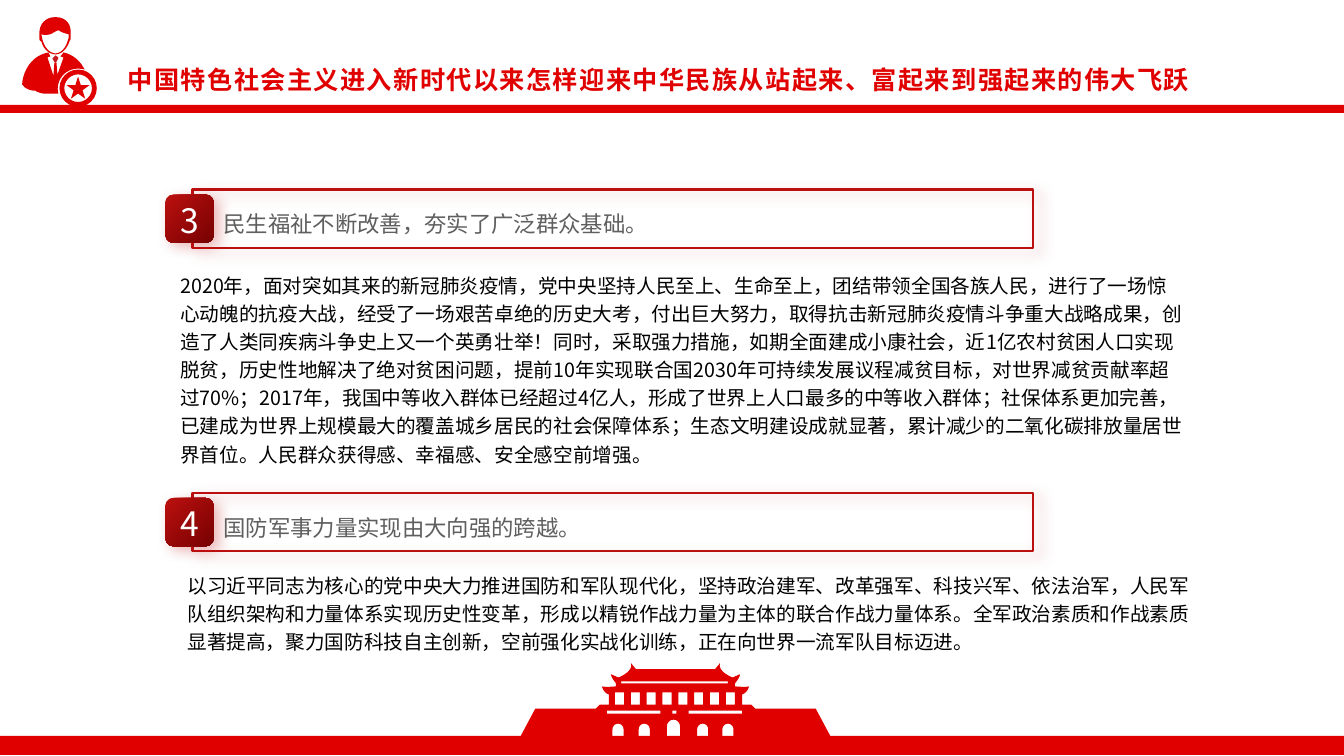
"""Build a slide with two numbered sections under a red title band and above a gate silhouette."""
from math import cos, pi, sin

from lxml import etree
from pptx import Presentation
from pptx import util as u
from pptx.dml.color import RGBColor
from pptx.enum import shapes, text
from pptx.oxml.ns import qn

THEME = {
    "font": "Noto Sans CJK SC",
    "red": "E00000", "collar": "C61821", "bright": "BB100F", "dark": "770101",
    "white": "FFFFFF", "grey": "5F5F5F", "black": "000000",
    "title": (18, 23), "number": (24, 29.5), "heading": (16, 30), "body": (14, 20.1),
}

TITLE = "中国特色社会主义进入新时代以来怎样迎来中华民族从站起来、富起来到强起来的伟大飞跃"
SECTIONS = [
    {
        "number": "3", "top": 1.88, "heading": "民生福祉不断改善，夯实了广泛群众基础。",
        "body_box": (1.57, 2.62, 10.28, 2.08),
        "body": "2020年，面对突如其来的新冠肺炎疫情，党中央坚持人民至上、生命至上，团结带领全国各族人民，"
                "进行了一场惊心动魄的抗疫大战，经受了一场艰苦卓绝的历史大考，付出巨大努力，"
                "取得抗击新冠肺炎疫情斗争重大战略成果，创造了人类同疾病斗争史上又一个英勇壮举！"
                "同时，采取强力措施，如期全面建成小康社会，近1亿农村贫困人口实现脱贫，"
                "历史性地解决了绝对贫困问题，提前10年实现联合国2030年可持续发展议程减贫目标，"
                "对世界减贫贡献率超过70%；2017年，我国中等收入群体已经超过4亿人，"
                "形成了世界上人口最多的中等收入群体；社保体系更加完善，"
                "已建成为世界上规模最大的覆盖城乡居民的社会保障体系；生态文明建设成就显著，"
                "累计减少的二氧化碳排放量居世界首位。人民群众获得感、幸福感、安全感空前增强。",
    },
    {
        "number": "4", "top": 4.89, "heading": "国防军事力量实现由大向强的跨越。",
        "body_box": (1.64, 5.6, 10.28, 0.95),
        "body": "以习近平同志为核心的党中央大力推进国防和军队现代化，坚持政治建军、改革强军、科技兴军、依法治军，"
                "人民军队组织架构和力量体系实现历史性变革，形成以精锐作战力量为主体的联合作战力量体系。"
                "全军政治素质和作战素质显著提高，聚力国防科技自主创新，空前强化实战化训练，"
                "正在向世界一流军队目标迈进。",
    },
]

COLLAR = [(0.52, 0.58), (0.52, 0.58, 0.54, 0.62, 0.55, 0.62),
          (0.56, 0.62, 0.58, 0.58, 0.58, 0.57), (0.55, 0.55)]
HAIR = [(0.39, 0.38), (0.39, 0.4, 0.4, 0.41, 0.41, 0.41), (0.43, 0.49, 0.49, 0.54, 0.55, 0.54),
        (0.61, 0.54, 0.66, 0.49, 0.69, 0.41), (0.69, 0.4, 0.7, 0.4, 0.7, 0.38), (0.7, 0.34),
        (0.71, 0.26, 0.67, 0.17, 0.55, 0.17), (0.44, 0.17, 0.39, 0.25, 0.39, 0.33), (0.39, 0.35)]
FACE = [(0.41, 0.34), (0.43, 0.35, 0.49, 0.35, 0.52, 0.33), (0.55, 0.31, 0.58, 0.3, 0.58, 0.3),
        (0.58, 0.3, 0.59, 0.31, 0.64, 0.33), (0.65, 0.33, 0.67, 0.34, 0.68, 0.34), (0.68, 0.38),
        (0.67, 0.41), (0.65, 0.48, 0.6, 0.53, 0.55, 0.53), (0.5, 0.53, 0.45, 0.48, 0.43, 0.42),
        (0.42, 0.4, 0.41, 0.34, 0.41, 0.34)]
SUIT = [(0.63, 0.74), (0.69, 0.68, 0.77, 0.67, 0.84, 0.69), (0.83, 0.67, 0.82, 0.66, 0.81, 0.64),
        (0.77, 0.59, 0.72, 0.54, 0.63, 0.52), (0.6, 0.56), (0.63, 0.57), (0.57, 0.74), (0.56, 0.62),
        (0.54, 0.62), (0.53, 0.75), (0.47, 0.57), (0.5, 0.56), (0.48, 0.52),
        (0.38, 0.54, 0.33, 0.59, 0.29, 0.64), (0.24, 0.71, 0.22, 0.79, 0.22, 0.84), (0.23, 0.85),
        (0.26, 0.89, 0.32, 0.9, 0.35, 0.9), (0.38, 0.92, 0.42, 0.93, 0.46, 0.93), (0.58, 0.93),
        (0.56, 0.87, 0.58, 0.79, 0.63, 0.74)]

GATE_AXIS = 6.7
GATE_RIGHT = [(8.24, 7.31), (8.09, 7.03), (7.49, 7.03), (7.45, 6.99), (7.36, 6.99), (7.36, 6.89),
              (7.36, 6.89, 7.41, 6.88, 7.43, 6.81), (7.4, 6.82, 7.29, 6.81, 7.29, 6.81), (7.29, 6.78),
              (7.29, 6.78, 7.34, 6.72, 7.34, 6.69), (7.31, 6.7, 7.28, 6.72, 7.26, 6.72),
              (7.24, 6.71, 7.12, 6.66, 7.14, 6.58), (7.11, 6.62, 7.09, 6.64, 7.09, 6.64)]
GATE_SLITS = [(6.16, 6.76, 7.22, 6.78), (6.02, 7.05, 6.55, 7.08), (6.67, 7.05, 6.71, 7.08),
              (6.83, 7.05, 7.36, 7.08)]
GATE_WINDOWS = [(6.1 + 0.157 * i, 6.87, 6.19 + 0.157 * i, 6.99) for i in range(8)]
GATE_ARCHES = [(6.13, 0.055, 7.18), (6.39, 0.055, 7.18), (6.68, 0.065, 7.14),
               (6.97, 0.055, 7.18), (7.22, 0.055, 7.18)]

deck = Presentation()
deck.slide_width, deck.slide_height = u.Inches(13.33), u.Inches(7.5)
slide = deck.slides.add_slide(deck.slide_layouts[6])


def color(name):
    return RGBColor.from_string(THEME[name])


def trace(outline, steps=8):
    """Turn line and cubic segments into points."""
    points = [outline[0]]
    for segment in outline[1:]:
        if len(segment) == 2:
            points.append(segment)
            continue
        anchors = [points[-1], segment[:2], segment[2:4], segment[4:]]
        for step in range(1, steps + 1):
            t = step / steps
            weights = ((1 - t) ** 3, 3 * t * (1 - t) ** 2, 3 * t * t * (1 - t), t ** 3)
            points.append(tuple(sum(w * a[axis] for w, a in zip(weights, anchors)) for axis in (0, 1)))
    return points


def paint(shape, fill):
    shape.shadow.inherit = False
    shape.line.fill.background()
    shape.fill.solid()
    shape.fill.fore_color.rgb = color(fill)
    return shape


def silhouette(contours, fill="red"):
    emu = [[(u.Inches(x), u.Inches(y)) for x, y in contour] for contour in contours]
    builder = slide.shapes.build_freeform(*emu[0][0], scale=1.0)
    builder.add_line_segments(emu[0][1:], close=True)
    for contour in emu[1:]:
        builder.move_to(*contour[0])
        builder.add_line_segments(contour[1:], close=True)
    return paint(builder.convert_to_shape(), fill)


def preset(kind, *box):
    return slide.shapes.add_shape(kind, *map(u.Inches, box))


def rectangle(left, top, right, bottom):
    return [(left, top), (right, top), (right, bottom), (left, bottom)]


def arch(center, radius, top, base=7.31):
    curve = [(center + radius * cos(pi * i / 10), top + radius - radius * sin(pi * i / 10))
             for i in range(11)]
    return [(center + radius, base), *curve, (center - radius, base)]


def glow(shape):
    shape.shadow.inherit = False
    effects = shape._element.spPr.find(qn("a:effectLst"))
    shade = etree.SubElement(effects, qn("a:outerShdw"), blurRad=str(u.Pt(10)), dist=str(u.Pt(5)),
                             dir=str(36 * 60000), algn="tl", rotWithShape="0")
    tint = etree.SubElement(shade, qn("a:srgbClr"), val=THEME["bright"])
    etree.SubElement(tint, qn("a:alpha"), val="30000")


def write(words, box, role, ink, bold=False, align=text.PP_ALIGN.LEFT, margin=0, tracking=0):
    frame = slide.shapes.add_textbox(*map(u.Inches, box)).text_frame
    frame.word_wrap = True
    paragraph = frame.paragraphs[0]
    paragraph.alignment = align
    size, leading = THEME[role]
    paragraph.line_spacing = u.Pt(leading)
    properties = paragraph._p.get_or_add_pPr()
    properties.set("marL", str(u.Inches(margin)))
    properties.set("indent", "0")
    run = paragraph.add_run()
    run.text = words
    run.font.size, run.font.bold, run.font.name = u.Pt(size), bold, THEME["font"]
    run.font.color.rgb = color(ink)
    letters = run._r.get_or_add_rPr()
    letters.set("spc", str(tracking))
    etree.SubElement(letters, qn("a:ea"), typeface=THEME["font"])


def add_section(section):
    top = section["top"]
    frame = preset(shapes.MSO_SHAPE.RECTANGLE, 1.91, top, 8.34, 0.58)
    frame.fill.background()
    frame.line.color.rgb = color("bright")
    frame.line.width = u.Pt(1.5)
    glow(frame)
    badge = preset(shapes.MSO_SHAPE.ROUNDED_RECTANGLE, 1.64, top + 0.05, 0.48, 0.48)
    badge.line.fill.background()
    badge.fill.gradient()
    badge.fill.gradient_angle = 315
    for stop, shade, place in zip(badge.fill.gradient_stops, ("bright", "dark"), (0, 1)):
        stop.color.rgb = color(shade)
        stop.position = place
    glow(badge)
    write(section["number"], (1.18, top + 0.04, 1.41, 0.5), "number", "white",
          align=text.PP_ALIGN.CENTER)
    write(section["heading"], (2.12, top + 0.01, 8.04, 0.5), "heading", "grey")
    write(section["body"], section["body_box"], "body", "black", margin=0.12)


def main():
    ring = paint(preset(shapes.MSO_SHAPE.DONUT, 0.59, 0.69, 0.37, 0.37), "red")
    ring.adjustments[0] = 0.13
    paint(preset(shapes.MSO_SHAPE.STAR_5_POINT, 0.66, 0.76, 0.23, 0.22), "red")
    silhouette([trace(COLLAR)], "collar")
    silhouette([trace(HAIR), trace(FACE)])
    silhouette([trace(SUIT)])
    paint(preset(shapes.MSO_SHAPE.RECTANGLE, 0, 7.3, 13.33, 0.19), "red")
    right = trace(GATE_RIGHT)
    left = [(2 * GATE_AXIS - x, y) for x, y in reversed(right)]
    openings = [rectangle(*hole) for hole in GATE_SLITS + GATE_WINDOWS]
    silhouette([right + left, *openings, *(arch(*door) for door in GATE_ARCHES)])
    paint(preset(shapes.MSO_SHAPE.RECTANGLE, 0, 1.04, 13.33, 0.08), "red")
    write(TITLE, (1.17, 0.57, 11.7, 0.4), "title", "red", bold=True, tracking=100)
    for section in SECTIONS:
        add_section(section)
    deck.save("out.pptx")


if __name__ == "__main__":
    main()
